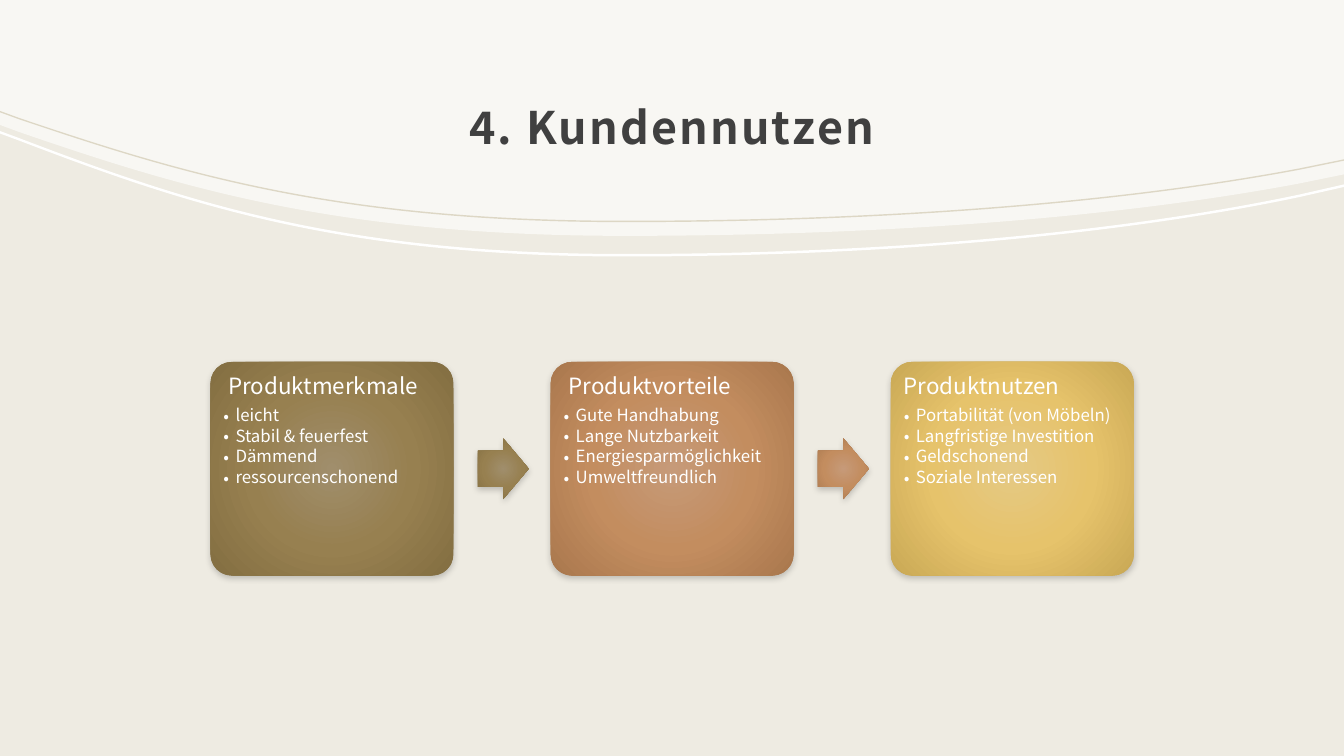
from dataclasses import dataclass

from lxml.etree import SubElement
from pptx import Presentation
from pptx.dml.color import RGBColor
from pptx.enum.shapes import MSO_SHAPE as Shape
from pptx.enum.text import MSO_ANCHOR as Anchor, PP_ALIGN as Align
from pptx.oxml import parse_xml
from pptx.oxml.ns import nsdecls, qn
from pptx.util import Inches, Pt


@dataclass(frozen=True)
class Theme:
    font: str = "Noto Sans CJK JP"
    ground: str = "EEEBE2"
    white: str = "FFFFFF"
    sand: str = "DDD7C5"
    title_ink: str = "404040"
    title: int = 32
    heading: int = 16
    bullet: int = 12


THEME = Theme()
WIDTH, HEIGHT = Inches(13.33), Inches(7.5)
COL, ROW = WIDTH / 100, HEIGHT / 100

# Nodes of the swoosh curves in columns and rows: a straight start,
# two cubic Bézier arcs (nodes 1-4 and 4-7) and a straight end.
CURVE_COLS = (0, 1.43, 13.43, 24.98, 46.5, 65.63, 83.18, 96.7, 100)
PANEL_ROWS = (16.53, 17.47, 24.8, 31.2, 31.2, 31.2, 28.8, 24.27, 23.07)
WHITE_ROWS = (17.33, 18.27, 26.4, 33.6, 33.6, 33.6, 30.8, 25.73, 24.4)
SAND_ROWS = (14.67, 15.6, 22.8, 29.2, 29.2, 29.2, 26.8, 22.27, 21.07)

CARDS = (
    ("\N{NO-BREAK SPACE}Produktmerkmale",
     ("leicht", "Stabil & feuerfest", "Dämmend", "ressourcenschonend"),
     ("A08E6C", "978050", "836E41")),
    ("\N{NO-BREAK SPACE}Produktvorteile",
     ("Gute Handhabung", "Lange Nutzbarkeit", "Energiesparmöglichkeit",
      "Umweltfreundlich"),
     ("C69A79", "C38D5F", "A9774D")),
    ("Produktnutzen",
     ("Portabilität (von Möbeln)", "Langfristige Investition",
      "Geldschonend", "Soziale Interessen"),
     ("E5C984", "E6C36B", "C9A855")),
)


def rgb(code):
    return RGBColor.from_string(code)


def grid_box(col, row, cols, rows):
    return tuple(round(v) for v in (col * COL, row * ROW, cols * COL, rows * ROW))


def paint(s, color):
    s.shadow.inherit = False
    s.fill.solid()
    s.fill.fore_color.rgb = rgb(color)
    s.line.fill.background()


def curve_nodes(rows):
    return [(round(c * COL), round(r * ROW)) for c, r in zip(CURVE_COLS, rows)]


def add_outline(slide, points, curve_starts, color):
    """Closed outline; each curve start is the index of a swoosh's first node."""
    builder = slide.shapes.build_freeform(*points[0])
    builder.add_line_segments(points[1:])
    s = builder.convert_to_shape()
    lines = list(s._element.iter(qn("a:lnTo")))
    for start in curve_starts:
        for first in (start + 1, start + 4):
            arc = lines[first:first + 3]
            bezier = parse_xml(f'<a:cubicBezTo {nsdecls("a")}/>')
            arc[0].addprevious(bezier)
            for line in arc:
                bezier.append(line[0])
                line.getparent().remove(line)
    paint(s, color)
    return s


def add_panel(slide):
    """Translucent header area above the swoosh."""
    points = [(0, 0), *curve_nodes(PANEL_ROWS), (WIDTH, 0)]
    s = add_outline(slide, points, (1,), THEME.white)
    color = s.fill._xPr.find(qn("a:solidFill"))[0]
    SubElement(color, qn("a:alpha"), val="60000")


def add_ribbon(slide, rows, thickness, color):
    upper = curve_nodes(rows)
    lower = [(x, y + thickness) for x, y in reversed(upper)]
    add_outline(slide, upper + lower, (0, len(upper)), color)


def add_title(slide, box, text):
    tf = slide.shapes.add_textbox(*box).text_frame
    tf.word_wrap = True
    tf.vertical_anchor = Anchor.MIDDLE
    tf.margin_left = tf.margin_right = tf.margin_top = Inches(0.12)
    tf.margin_bottom = Inches(0.1)
    p = tf.paragraphs[0]
    p.alignment = Align.CENTER
    p.line_spacing = 1.3
    p.space_after = Pt(6)
    r = p.add_run()
    r.text = text
    style_font(r.font, THEME.title, THEME.title_ink)
    r.font.bold = True
    r.font._element.set("spc", "150")


def style_font(font, size, color):
    font.name = THEME.font
    font.size = Pt(size)
    font.color.rgb = rgb(color)


def add_glowing(slide, kind, box, colors, *adjustments):
    """Preset shape with a radial gradient and a soft shadow below."""
    s = slide.shapes.add_shape(kind, *map(round, box))
    for i, value in enumerate(adjustments):
        s.adjustments[i] = value
    s.line.fill.background()
    s.shadow.inherit = False
    stops = "".join(f'<a:gs pos="{i * 50000}"><a:srgbClr val="{c}"/></a:gs>'
                    for i, c in enumerate(colors))
    props = s._element.spPr
    props.find(qn("a:prstGeom")).addnext(parse_xml(
        f'<a:gradFill {nsdecls("a")} rotWithShape="1"><a:gsLst>{stops}</a:gsLst>'
        '<a:path path="circle"><a:fillToRect l="100000" t="100000" r="100000" '
        'b="100000"/></a:path></a:gradFill>'))
    props.find(qn("a:effectLst")).append(parse_xml(
        f'<a:outerShdw {nsdecls("a")} blurRad="{Pt(4.5)}" dist="{Pt(2)}" dir="5400000" '
        'rotWithShape="0"><a:srgbClr val="000000"><a:alpha val="20000"/></a:srgbClr>'
        '</a:outerShdw>'))
    return s


def style_paragraph(p, size, after_percent):
    p.alignment = Align.LEFT
    p.line_spacing = 0.9
    style_font(p.font, size, THEME.white)
    after = parse_xml(f'<a:spcAft {nsdecls("a")}><a:spcPct val="{after_percent * 1000}"/>'
                      '</a:spcAft>')
    p._p.pPr.find(qn("a:lnSpc")).addnext(after)


def add_bullet(p):
    props = p._p.pPr
    props.set("marL", str(Inches(0.12)))
    props.set("indent", str(-Inches(0.12)))
    typeface = parse_xml(f'<a:buFont {nsdecls("a")} typeface="{THEME.font}"/>')
    props.find(qn("a:spcAft")).addnext(typeface)
    typeface.addnext(parse_xml(f'<a:buChar {nsdecls("a")} char="•"/>'))


def add_card(slide, box, heading, bullets, colors):
    tf = add_glowing(slide, Shape.ROUNDED_RECTANGLE, box, colors, 0.1).text_frame
    tf.word_wrap = True
    tf.vertical_anchor = Anchor.TOP
    tf.margin_left = tf.margin_right = tf.margin_top = tf.margin_bottom = Pt(4.8)
    p = tf.paragraphs[0]
    p.text = heading
    style_paragraph(p, THEME.heading, 35)
    for text in bullets:
        p = tf.add_paragraph()
        p.text = text
        p.level = 1
        style_paragraph(p, THEME.bullet, 15)
        add_bullet(p)


def add_flow(slide, box, cards):
    """Row of equal cards, joined by block arrows in the gaps."""
    left, top, width, height = box
    gap = 0.4
    card_w = width / (len(cards) + gap * (len(cards) - 1))
    arrow_w, arrow_h = 0.21 * card_w, 0.25 * card_w
    for i, (heading, bullets, colors) in enumerate(cards):
        x = left + i * (1 + gap) * card_w
        add_card(slide, (x, top, card_w, height), heading, bullets, colors)
        if i < len(cards) - 1:
            arrow_box = (x + 1.1 * card_w, top + (height - arrow_h) / 2, arrow_w, arrow_h)
            add_glowing(slide, Shape.RIGHT_ARROW, arrow_box, colors, 0.6, 0.5)


def main():
    prs = Presentation()
    prs.slide_width, prs.slide_height = WIDTH, HEIGHT
    slide = prs.slides.add_slide(prs.slide_layouts[6])
    ground = slide.shapes.add_shape(Shape.RECTANGLE, 0, 0, WIDTH, HEIGHT)
    paint(ground, THEME.ground)
    add_panel(slide)
    add_ribbon(slide, WHITE_ROWS, Pt(1.8), THEME.white)
    add_title(slide, grid_box(10, 8, 80, 15.2), "4. Kundennutzen")
    add_ribbon(slide, SAND_ROWS, Pt(1), THEME.sand)
    add_flow(slide, grid_box(15.66, 47.87, 68.7, 28.27), CARDS)
    prs.save("out.pptx")


if __name__ == "__main__":
    main()
